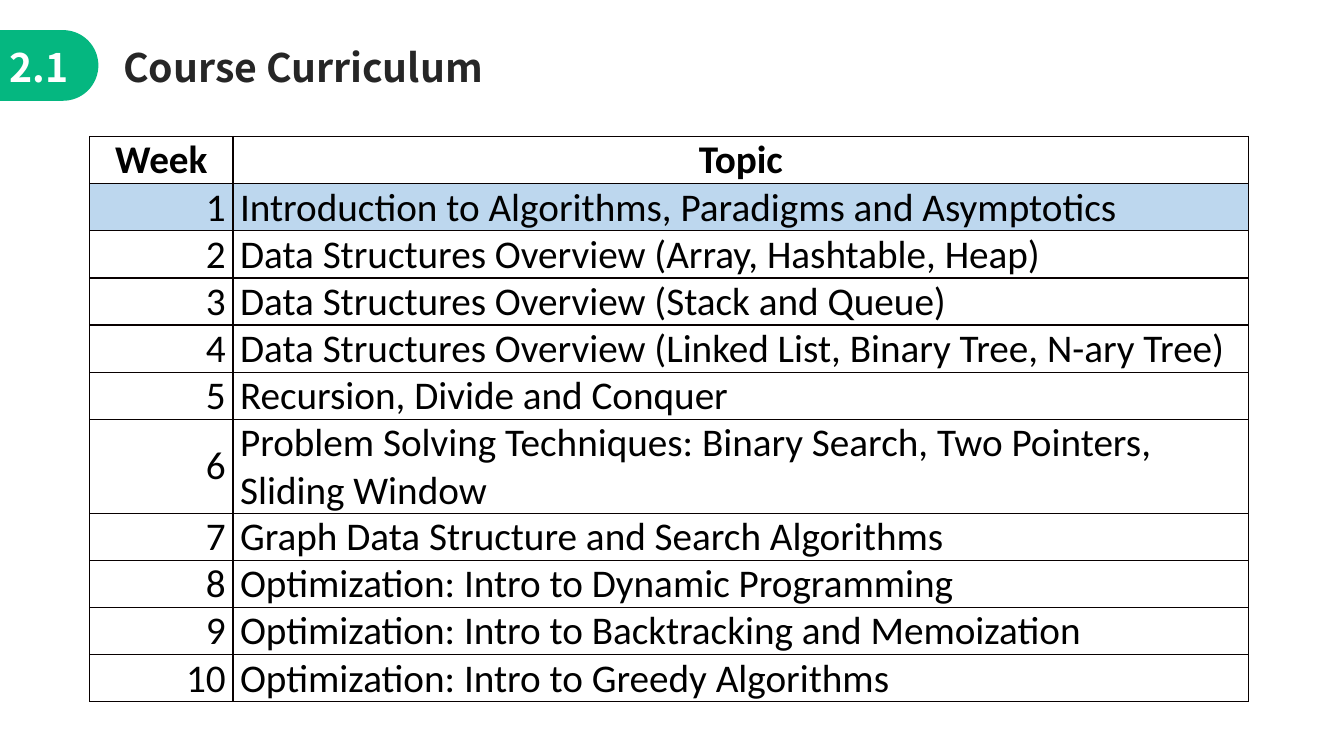
from dataclasses import dataclass
from math import cos, pi, sin

from lxml.etree import SubElement
from pptx import Presentation
from pptx.dml.color import RGBColor
from pptx.enum.text import MSO_ANCHOR, MSO_AUTO_SIZE, PP_ALIGN
from pptx.oxml.ns import qn
from pptx.util import Cm, Pt


@dataclass(frozen=True)
class Theme:
    accent: str = "05B780"
    on_accent: str = "FFFFFF"
    heading: str = "262626"
    text: str = "000000"
    border: str = "080000"
    paper: str = "FFFFFF"
    current_week: str = "BDD7EE"
    heading_font: str = "Noto Sans CJK SC"
    table_font: str = "Calibri"
    size: int = 28
    border_width: int = 1


@dataclass(frozen=True)
class Box:
    left: float
    top: float
    width: float
    height: float

    def inner(self, left, top, width, height):
        return Box(self.left + left, self.top + top, width, height)

    def emu(self):
        return [Cm(v) for v in (self.left, self.top, self.width, self.height)]


THEME = Theme()
TOPICS = [
    "Introduction to Algorithms, Paradigms and Asymptotics",
    "Data Structures Overview (Array, Hashtable, Heap)",
    "Data Structures Overview (Stack and Queue)",
    "Data Structures Overview (Linked List, Binary Tree, N-ary Tree)",
    "Recursion, Divide and Conquer",
    "Problem Solving Techniques: Binary Search, Two Pointers, Sliding Window",
    "Graph Data Structure and Search Algorithms",
    "Optimization: Intro to Dynamic Programming",
    "Optimization: Intro to Backtracking and Memoization",
    "Optimization: Intro to Greedy Algorithms",
]
CURRENT_WEEK = 1


def apply_format(target, values):
    for name, value in values.items():
        setattr(target, name, value)


def write(frame, text, color, font, bold, align=PP_ALIGN.LEFT):
    paragraph = frame.paragraphs[0]
    paragraph.alignment = align
    run = paragraph.add_run()
    run.text = text
    apply_format(run.font, {"name": font, "size": Pt(THEME.size), "bold": bold})
    run.font.color.rgb = RGBColor.from_string(color)


def write_heading(shape, box, text, color):
    places = dict(zip(("left", "top", "width", "height"), box.emu()))
    apply_format(shape, places)
    apply_format(shape.text_frame, {
        "word_wrap": True,
        "auto_size": MSO_AUTO_SIZE.SHAPE_TO_FIT_TEXT,
        "vertical_anchor": MSO_ANCHOR.TOP,
    })
    write(shape.text_frame, text, color, THEME.heading_font, True)


def add_tab(slide, box):
    """Draw a bar that starts at the slide edge and ends in a half circle."""
    radius = box.height / 2
    center_x, center_y = box.left + box.width - radius, box.top + radius
    steps = 48
    angles = [pi * (step / steps - 0.5) for step in range(steps + 1)]
    arc = [(Cm(center_x + radius * cos(a)), Cm(center_y + radius * sin(a)))
           for a in angles]
    builder = slide.shapes.build_freeform(Cm(box.left), Cm(box.top))
    builder.add_line_segments(arc + [(Cm(box.left), Cm(box.top + box.height))])
    tab = builder.convert_to_shape()
    tab.shadow.inherit = False
    tab.fill.solid()
    tab.fill.fore_color.rgb = RGBColor.from_string(THEME.accent)
    tab.line.fill.background()


def add_header(slide, box, number, title):
    add_tab(slide, box.inner(0, 0, 2.48, box.height))
    number_box = box.inner(0, 0.2, 2.25, 1.45)
    label = slide.shapes.add_textbox(*number_box.emu())
    write_heading(label, number_box, number, THEME.on_accent)
    write_heading(slide.shapes.title, box.inner(2.85, 0.2, 18.1, 1.45),
                  title, THEME.heading)


def set_borders(cell):
    properties = cell._tc.get_or_add_tcPr()
    for position, side in enumerate(("a:lnL", "a:lnR", "a:lnT", "a:lnB")):
        line = SubElement(properties, qn(side), w=str(Pt(THEME.border_width)))
        fill = SubElement(line, qn("a:solidFill"))
        SubElement(fill, qn("a:srgbClr"), val=THEME.border)
        properties.insert(position, line)


def fill_cell(cell, text, fill, bold, align):
    apply_format(cell, {
        "vertical_anchor": MSO_ANCHOR.MIDDLE,
        "margin_left": Cm(0.18),
        "margin_right": Cm(0.18),
        "margin_top": 0,
        "margin_bottom": 0,
    })
    cell.fill.solid()
    cell.fill.fore_color.rgb = RGBColor.from_string(fill)
    set_borders(cell)
    write(cell.text_frame, text, THEME.text, THEME.table_font, bold, align)


def add_curriculum(slide, box, topics):
    """Place the week table; rows grow with their text."""
    week_width, header_height = 3.61, 1.19
    rows = [("Week", "Topic")]
    rows += [(str(week), topic) for week, topic in enumerate(topics, 1)]
    table = slide.shapes.add_table(len(rows), 2, *box.emu()).table
    table.horz_banding = False
    for column, width in zip(table.columns, (week_width, box.width - week_width)):
        column.width = Cm(width)
    topic_height = (box.height - header_height) / len(topics)
    for week, texts in enumerate(rows):
        is_header = week == 0
        table.rows[week].height = Cm(header_height if is_header else topic_height)
        fill = THEME.current_week if week == CURRENT_WEEK else THEME.paper
        aligns = ([PP_ALIGN.CENTER] * 2 if is_header
                  else [PP_ALIGN.RIGHT, PP_ALIGN.LEFT])
        for column, (text, align) in enumerate(zip(texts, aligns)):
            fill_cell(table.cell(week, column), text, fill, is_header, align)


def main():
    deck = Presentation()
    apply_format(deck, {"slide_width": Cm(33.87), "slide_height": Cm(19.05)})
    slide = deck.slides.add_slide(deck.slide_layouts.get_by_name("Title Only"))
    add_header(slide, Box(0, 0.76, 20.95, 1.78), "2.1", "Course Curriculum")
    add_curriculum(slide, Box(2.26, 3.44, 29.21, 6.48), TOPICS)
    deck.save("out.pptx")


if __name__ == "__main__":
    main()
